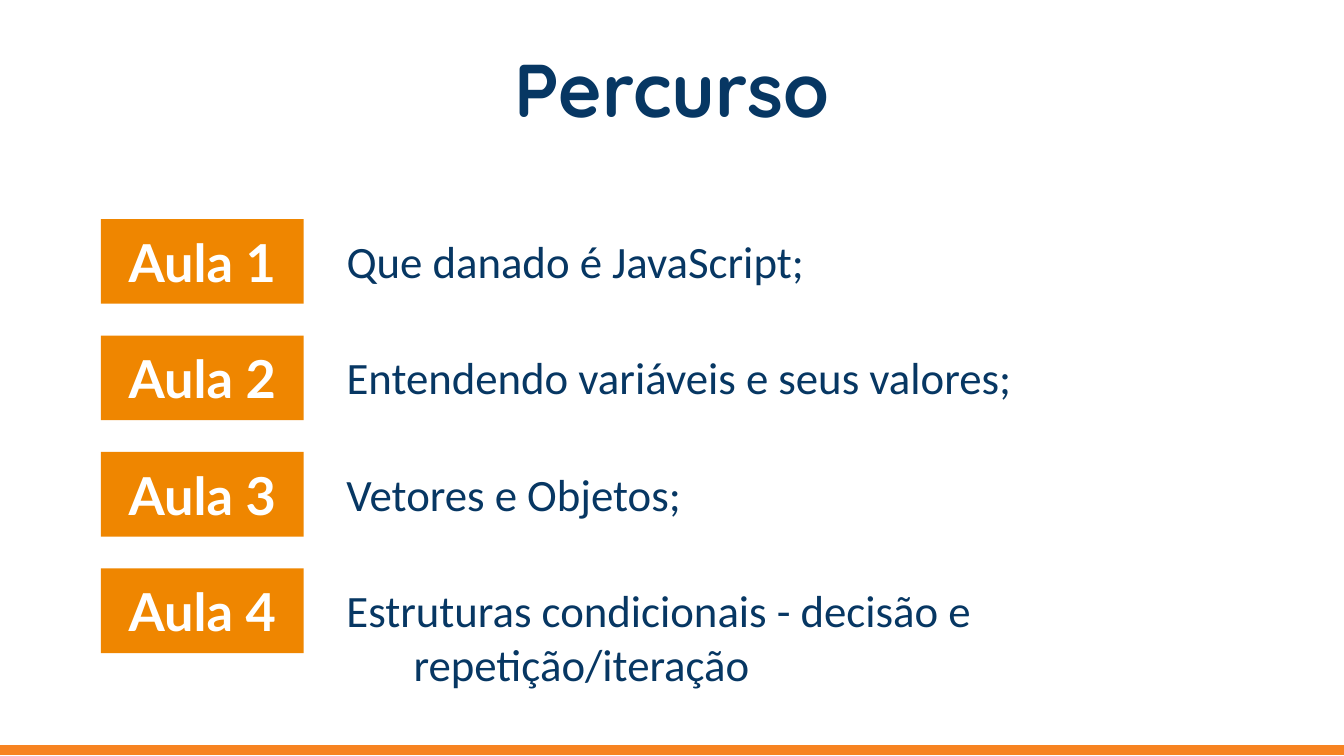
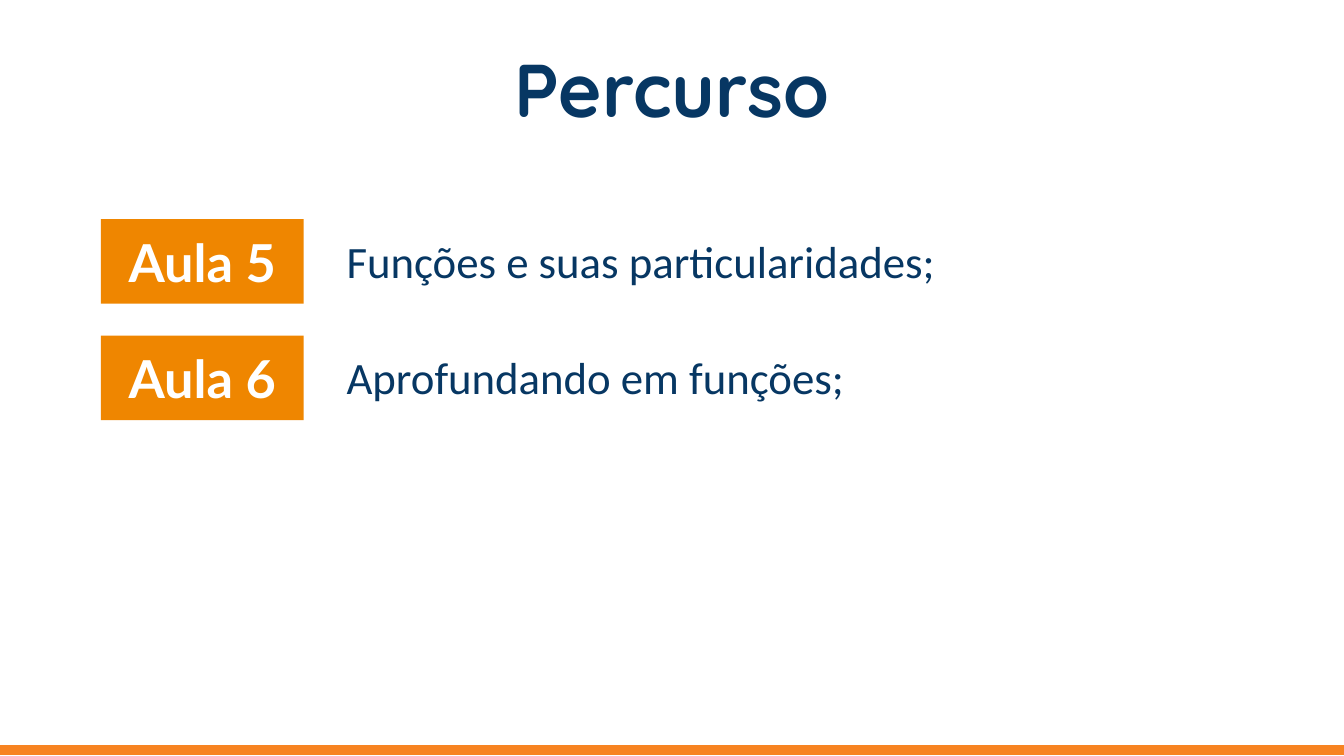
from dataclasses import dataclass

from pptx import Presentation
from pptx.dml.color import RGBColor
from pptx.enum.shapes import MSO_SHAPE
from pptx.enum.text import MSO_ANCHOR, MSO_AUTO_SIZE, PP_ALIGN
from pptx.util import Inches, Pt


@dataclass(frozen=True)
class Theme:
    navy: str = "073763"
    white: str = "FFFFFF"
    orange: str = "EF8600"
    band: str = "F78321"
    title_font: str = "Quicksand"
    tag_font: str = "Lato"
    body_font: str = "Calibri"
    title_size: int = 40
    tag_size: int = 28
    body_size: int = 24


@dataclass(frozen=True)
class Lesson:
    tag: str
    topic: str
    width: float
    hang: float = 0


THEME = Theme()
TOP, LAST, GAPS = 1.63, 4.23, 3
STEP = (LAST - TOP) / GAPS

PAGES = [
    [
        Lesson("Aula 1", "Que danado é JavaScript;", 4.39, 0.5),
        Lesson("Aula 2", "Entendendo variáveis e seus valores;", 5.81),
        Lesson("Aula 3", "Vetores e Objetos;", 2.74, 0.5),
        Lesson("Aula 4", "Estruturas condicionais - decisão e repetição/iteração", 5.34, 0.5),
    ],
    [
        Lesson("Aula 5", "Funções e suas particularidades;", 5.69),
        Lesson("Aula 6", "Aprofundando em funções;", 5.81),
    ],
]


def write(shape, text: str, *, font: str, size: int, color: str, bold: bool = False,
          align=PP_ALIGN.LEFT, anchor=MSO_ANCHOR.TOP, pad: float = 0.1,
          hang: float = 0) -> None:
    """Fill a shape with one formatted paragraph."""
    frame = shape.text_frame
    frame.word_wrap = True
    frame.auto_size = MSO_AUTO_SIZE.NONE
    frame.vertical_anchor = anchor
    frame.margin_left = frame.margin_right = Inches(0.1)
    frame.margin_top = frame.margin_bottom = Inches(pad)
    para = frame.paragraphs[0]
    para.alignment = align
    if hang:
        props = para._p.get_or_add_pPr()
        props.set("marL", str(Inches(hang)))
        props.set("indent", str(-Inches(hang)))
    run = para.add_run()
    run.text = text
    run.font.name = font
    run.font.size = Pt(size)
    run.font.bold = bold
    run.font.color.rgb = RGBColor.from_string(color)


def add_box(slide, left: float, top: float, width: float, height: float,
            fill: str, line: str | None = None):
    """Draw a flat rectangle, outlined only when a line colour is given."""
    box = slide.shapes.add_shape(MSO_SHAPE.RECTANGLE, Inches(left), Inches(top),
                                 Inches(width), Inches(height))
    box.shadow.inherit = False
    box.fill.solid()
    box.fill.fore_color.rgb = RGBColor.from_string(fill)
    if line:
        box.line.color.rgb = RGBColor.from_string(line)
        box.line.width = Pt(0.75)
    else:
        box.line.fill.background()
    return box


def add_title(slide, text: str) -> None:
    title = slide.shapes.title
    title.left, title.top = Inches(0.34), Inches(0.33)
    title.width, title.height = Inches(9.32), Inches(0.65)
    write(title, text, font=THEME.title_font, size=THEME.title_size, color=THEME.navy,
          bold=True, align=PP_ALIGN.CENTER, anchor=MSO_ANCHOR.MIDDLE)


def add_lesson(slide, lesson: Lesson, top: float) -> None:
    tag = add_box(slide, 0.75, top, 1.51, 0.63, THEME.orange)
    write(tag, lesson.tag, font=THEME.tag_font, size=THEME.tag_size, color=THEME.white,
          bold=True, align=PP_ALIGN.CENTER, anchor=MSO_ANCHOR.MIDDLE)
    topic = slide.shapes.add_textbox(Inches(2.48), Inches(top + 0.06),
                                     Inches(lesson.width), Inches(0.5))
    write(topic, lesson.topic, font=THEME.body_font, size=THEME.body_size,
          color=THEME.navy, pad=0.05, hang=lesson.hang)


def add_page(deck, lessons: list[Lesson]) -> None:
    slide = deck.slides.add_slide(deck.slide_layouts[5])
    add_title(slide, "Percurso")
    # Footer band
    add_box(slide, 0, 5.55, 10, 0.06, THEME.band, THEME.band)
    # Lesson rows
    for row, lesson in enumerate(lessons):
        add_lesson(slide, lesson, TOP + row * STEP)


def main() -> None:
    deck = Presentation()
    # Widescreen, 16:9
    deck.slide_width = Inches(10)
    deck.slide_height = deck.slide_width * 9 // 16
    for lessons in PAGES:
        add_page(deck, lessons)
    deck.save("out.pptx")


if __name__ == "__main__":
    main()
